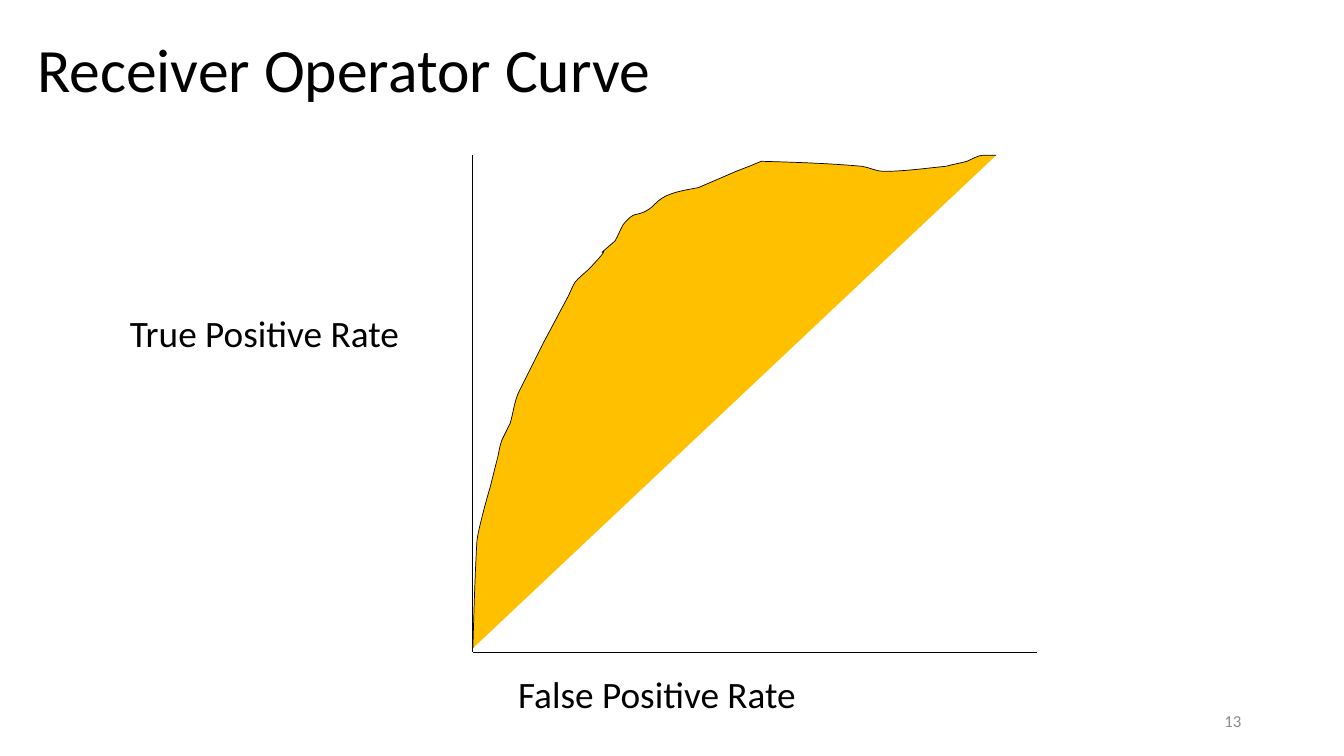
from lxml import etree
from pptx import Presentation
from pptx import util as u
from pptx.dml.color import RGBColor
from pptx.enum import shapes, text
from pptx.oxml.ns import qn

PX = 9144  # EMU per px, 100 px to the inch
BLACK, GREY, AMBER = "000000", "8C8C8C", "FFC000"
LABEL_SIZE = 26.6

# ROC curve inside its box: one point is a straight step,
# three points are a Bezier step (two controls and an end)
ROC_START = (0, 489)
ROC_STEPS = [
    [(1, 454), (2, 418), (4, 383)],
    [(5, 372), (15, 336), (17, 330)],
    [(25, 298)],
    [(26, 293), (27, 287), (29, 282)],
    [(37, 266)],
    [(40, 256), (41, 244), (46, 234)],
    [(70, 186)],
    [(95, 139)],
    [(98, 133), (100, 126), (104, 123)],
    [(108, 119), (112, 116), (116, 112)],
    [(148, 78), (110, 112), (141, 85)],
    [(144, 80), (146, 74), (149, 69)],
    [(161, 54), (161, 62), (174, 54)],
    [(179, 51), (182, 46), (187, 43)],
    [(197, 36), (215, 34), (224, 32)],
    [(261, 16)],
    [(274, 11)],
    [(286, 6)],
    [(320, 7), (353, 8), (386, 11)],
    [(393, 12), (400, 16), (407, 16)],
    [(428, 16), (448, 13), (469, 11)],
    [(476, 9), (483, 8), (490, 6)],
    [(495, 4), (501, 0), (506, 0)],
    [(510, 0), (515, 0), (519, 0)],
]


def px(length):
    return u.Emu(length * PX)


def color(hex_string):
    return RGBColor.from_string(hex_string)


def add_text(slide, box, words, size, hex_string=BLACK, spacing=0.9,
             align=text.PP_ALIGN.LEFT, anchor=text.MSO_ANCHOR.TOP):
    frame = slide.shapes.add_textbox(*map(px, box)).text_frame
    frame.word_wrap = True
    frame.vertical_anchor = anchor
    paragraph = frame.paragraphs[0]
    paragraph.alignment = align
    paragraph.line_spacing = spacing
    run = paragraph.add_run()
    run.text = words
    run.font.name = "Calibri"
    run.font.size = u.Pt(size)
    run.font.color.rgb = color(hex_string)


def add_axis(slide, start, end):
    axis = slide.shapes.add_connector(
        shapes.MSO_CONNECTOR.STRAIGHT, *map(px, start + end))
    axis.line.color.rgb = color(BLACK)
    axis.line.width = u.Pt(0.75)
    properties = axis._element.find(qn("p:spPr"))
    etree.SubElement(properties, qn("a:effectLst"))


def bend_segments(shape, steps):
    """Turn the straight segments of three-point steps into Bezier curves."""
    segments = list(shape._element.iter(qn("a:lnTo")))
    for segment, step in zip(segments, steps):
        if len(step) == 3:
            curve = etree.Element(qn("a:cubicBezTo"))
            for x, y in step:
                etree.SubElement(curve, qn("a:pt"), x=str(px(x)), y=str(px(y)))
            segment.getparent().replace(segment, curve)


def add_roc_area(slide, left, top):
    builder = slide.shapes.build_freeform(*ROC_START, scale=PX)
    builder.add_line_segments([step[-1] for step in ROC_STEPS], close=False)
    area = builder.convert_to_shape(px(left), px(top))
    bend_segments(area, ROC_STEPS)
    # The path is now measured in EMU
    outline = next(area._element.iter(qn("a:path")))
    for segment in outline.findall(qn("a:moveTo")) + outline.findall(qn("a:lnTo")):
        point = segment.find(qn("a:pt"))
        for axis in ("x", "y"):
            point.set(axis, str(px(int(point.get(axis)))))
    outline.set("w", str(area.width))
    outline.set("h", str(area.height))
    area.shadow.inherit = False
    area.fill.solid()
    area.fill.fore_color.rgb = color(AMBER)
    area.line.color.rgb = color(BLACK)
    area.line.width = u.Pt(0.5)


def add_roc_plot(slide, left, top, width, height):
    # Axes
    origin = (left, top + height)
    add_axis(slide, origin, (left + width, top + height))
    add_axis(slide, (left, top), origin)
    # Area between the curve and the diagonal
    add_roc_area(slide, left, top)
    # Axis labels
    add_text(slide, (left + 35, top + height + 19, 450, 50),
             "False Positive Rate", LABEL_SIZE)
    add_text(slide, (left - 350, top + 154, 328, 50),
             "True Positive Rate", LABEL_SIZE)


def add_frame(slide, title, number):
    add_text(slide, (27, 34, 1150, 84), title, 44)
    add_text(slide, (941, 695, 300, 40), number, 12, GREY, 1.0,
             text.PP_ALIGN.RIGHT, text.MSO_ANCHOR.MIDDLE)


def main():
    presentation = Presentation()
    presentation.slide_width = px(1333)
    presentation.slide_height = px(750)
    slide = presentation.slides.add_slide(presentation.slide_layouts[6])
    add_frame(slide, "Receiver Operator Curve", "13")
    add_roc_plot(slide, 469, 154, 560, 493)
    presentation.save("out.pptx")


if __name__ == "__main__":
    main()
